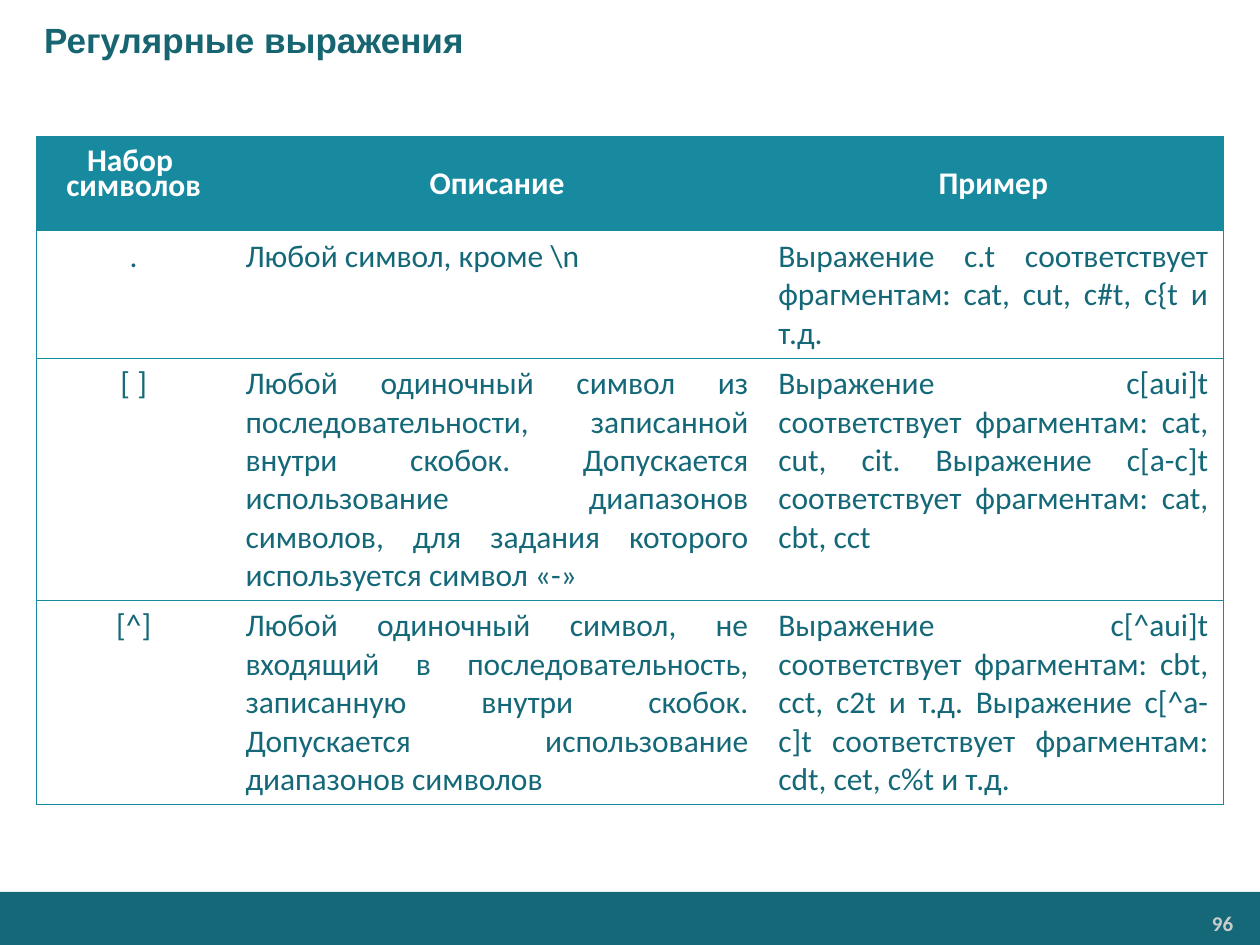
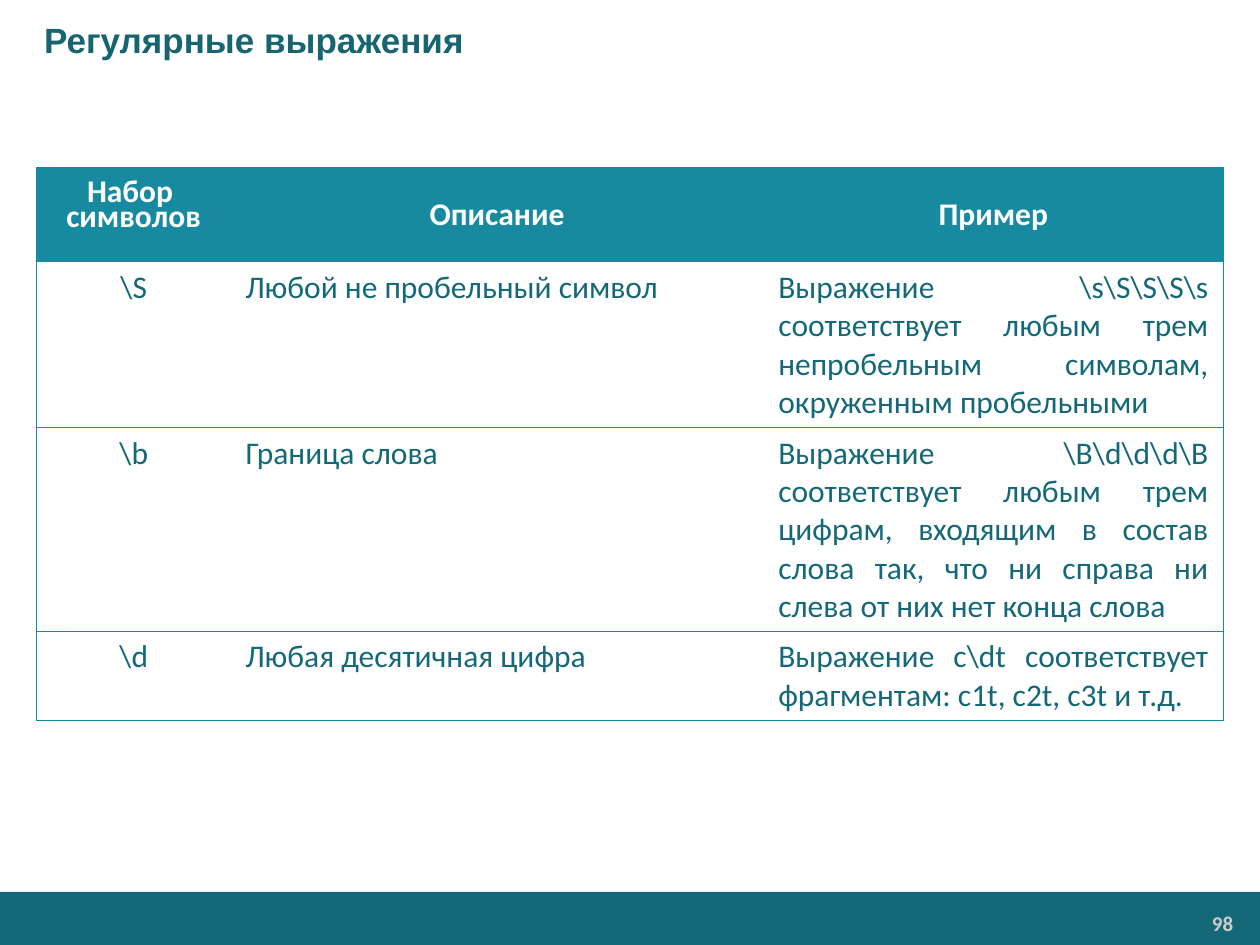
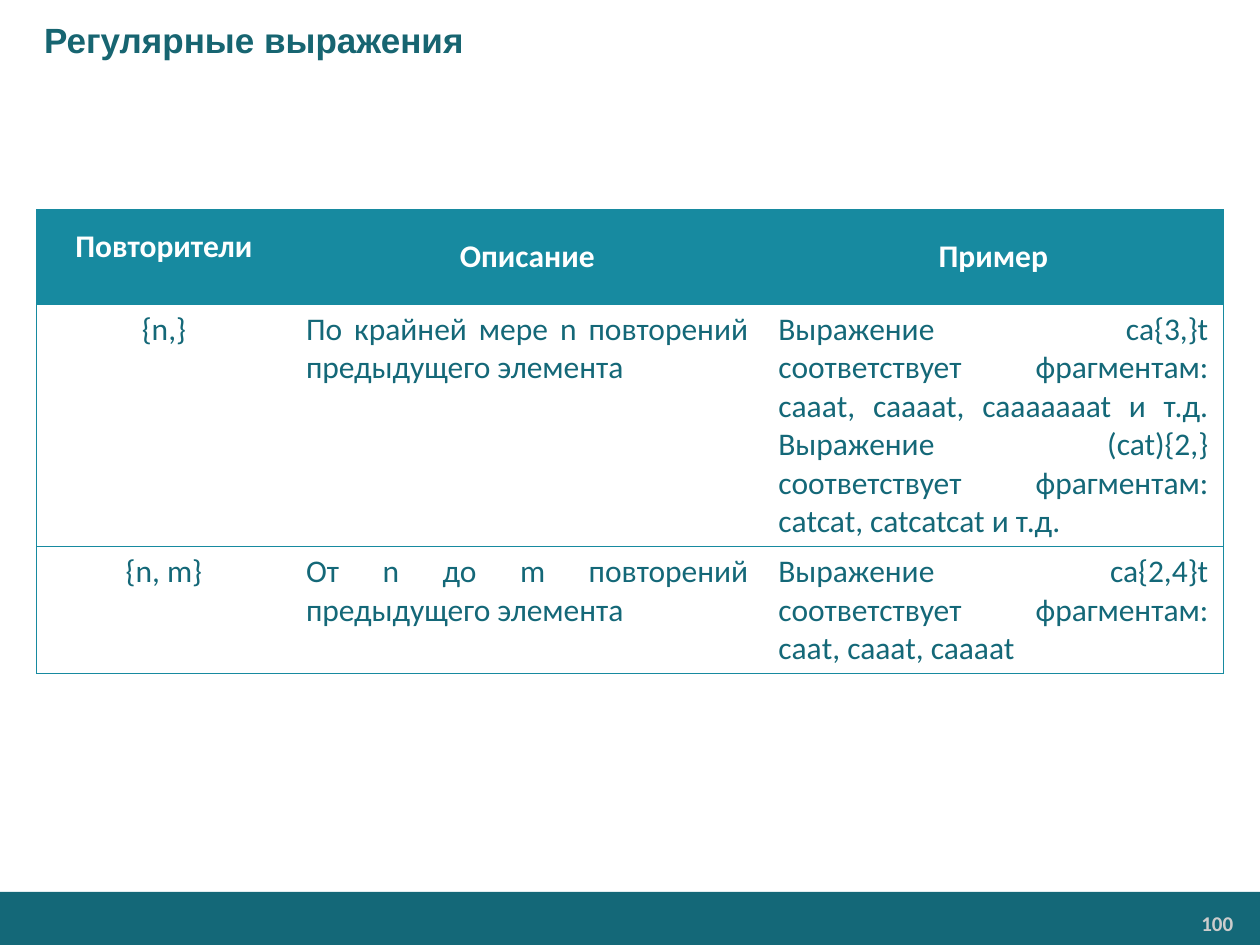
from lxml import etree
from pptx import Presentation
from pptx import util as u
from pptx.dml.color import RGBColor
from pptx.enum import shapes, text
from pptx.oxml import ns

# Content
HEADING = "Регулярные выражения"
SYMBOL_HEADER = ["Набор \nсимволов", "Описание", "Пример"]
REPEAT_HEADER = ["Повторители", "Описание", "Пример"]
SYMBOL_WIDTHS = [3.91, 10.74, 9.27]
REPEAT_WIDTHS = [5.13, 9.52, 9.27]

# Each row: text lines in its tallest cell, then the three cells
SLIDES = [
    {"number": 96, "top": 2.75, "widths": SYMBOL_WIDTHS, "header": SYMBOL_HEADER, "rows": [
        (3, ".", r"Любой символ, кроме \n",
         "Выражение c.t соответствует фрагментам: cat, cut, c#t, c{t и т.д."),
        (6, "[ ]",
         "Любой одиночный символ из последовательности, записанной внутри скобок. "
         "Допускается использование диапазонов символов, для задания которого "
         "используется символ «-»",
         "Выражение c[aui]t соответствует фрагментам: cat, cut, cit. "
         "Выражение c[a-c]t соответствует фрагментам: cat, cbt, cct"),
        (5, "[^]",
         "Любой одиночный символ, не входящий в последовательность, записанную "
         "внутри скобок. Допускается использование диапазонов символов",
         "Выражение c[^aui]t соответствует фрагментам: cbt, cct, c2t и т.д. "
         "Выражение c[^a-c]t соответствует фрагментам: cdt, cet, c%t и т.д."),
    ]},
    {"number": 98, "top": 3.38, "widths": SYMBOL_WIDTHS, "header": SYMBOL_HEADER, "rows": [
        (4, r"\S", "Любой не пробельный символ",
         r"Выражение \s\S\S\S\s соответствует любым трем непробельным символам, "
         "окруженным пробельными"),
        (5, r"\b", "Граница слова",
         r"Выражение \B\d\d\d\B соответствует любым трем цифрам, входящим в состав "
         "слова так, что ни справа ни слева от них нет конца слова"),
        (2, r"\d", "Любая десятичная цифра",
         r"Выражение c\dt соответствует фрагментам: c1t, c2t, c3t и т.д."),
    ]},
    {"number": 100, "top": 4.23, "widths": REPEAT_WIDTHS, "header": REPEAT_HEADER, "rows": [
        (6, "{n,}", "По крайней мере n повторений предыдущего элемента",
         "Выражение ca{3,}t соответствует фрагментам: cаааt, caaaat, caaaaaaat и т.д. "
         "Выражение (cat){2,} соответствует фрагментам: cаtcat, catcatcat и т.д."),
        (3, "{n, m}", "От n до m повторений предыдущего элемента",
         "Выражение ca{2,4}t соответствует фрагментам: cааt, caaat, caaaat"),
    ]},
]

# Shared style
COLORS = {"band": "146878", "title": "176571", "head": "178AA0",
          "body": "146878", "white": "FFFFFF", "number": "CCCCCC"}
TABLE_LEFT, HEADER_HEIGHT = 0.74, 1.9
LINE_HEIGHT, ROW_PADDING = 0.77, 0.26
ALIGN, ANCHOR = text.PP_ALIGN, text.MSO_ANCHOR


def color(key):
    return RGBColor.from_string(COLORS[key])


def style(paragraph, size, key, bold, align, font="Calibri"):
    paragraph.alignment = align
    for run in paragraph.runs:
        run.font.size, run.font.name, run.font.bold = u.Pt(size), font, bold
        run.font.color.rgb = color(key)


def set_margins(box, left, top):
    box.margin_left = box.margin_right = u.Cm(left)
    box.margin_top = box.margin_bottom = u.Cm(top)


def add_label(slide, place, wording):
    frame = slide.shapes.add_textbox(*map(u.Cm, place)).text_frame
    frame.word_wrap = True
    frame.vertical_anchor = ANCHOR.MIDDLE
    frame.text = wording
    return frame


def add_frame(slide, number):
    """Bottom band, page number and heading."""
    band = slide.shapes.add_shape(shapes.MSO_SHAPE.RECTANGLE, 0, u.Cm(17.98),
                                  u.Cm(25.4), u.Cm(1.07))
    band.shadow.inherit = False
    band.fill.solid()
    band.fill.fore_color.rgb = color("band")
    band.line.fill.background()

    page = add_label(slide, (20.9, 18.26, 4.14, 0.71), str(number))
    set_margins(page, 0.18, 0.1)
    style(page.paragraphs[0], 12, "number", True, ALIGN.RIGHT)

    heading = add_label(slide, (0, 0, 25.4, 1.6), HEADING)
    heading.margin_left = u.Cm(0.89)
    style(heading.paragraphs[0], 20, "title", True, ALIGN.LEFT, "Arial")


def set_borders(cell, sides):
    """Draw the named sides and clear the others."""
    properties = cell._tc.get_or_add_tcPr()
    for side in "LRTB":
        line = etree.SubElement(properties, ns.qn("a:ln" + side), w=str(u.Pt(0.75)))
        if side in sides:
            fill = etree.SubElement(line, ns.qn("a:solidFill"))
            etree.SubElement(fill, ns.qn("a:srgbClr"), val=COLORS["head"])
        else:
            etree.SubElement(line, ns.qn("a:noFill"))


def fill_cell(cell, wording, is_header, column):
    cell.text = wording
    set_margins(cell, 0.3, 0.13)
    set_borders(cell, "TB" + {0: "L", 2: "R"}.get(column, ""))
    if is_header:
        cell.fill.solid()
        cell.fill.fore_color.rgb = color("head")
        cell.vertical_anchor = ANCHOR.MIDDLE
    else:
        cell.fill.background()
    centred = is_header or column == 0
    for paragraph in cell.text_frame.paragraphs:
        style(paragraph, 18, "white" if is_header else "body", is_header,
              ALIGN.CENTER if centred else ALIGN.JUSTIFY)


def tighten_first_header(cell):
    set_margins(cell, 0.23, 0)
    for index, paragraph in enumerate(cell.text_frame.paragraphs):
        paragraph.line_spacing = u.Pt(10)
        paragraph.space_before = u.Pt(2 if index else 0)
        paragraph.space_after = u.Pt(2)


def add_reference(slide, top, widths, header, rows):
    heights = [HEADER_HEIGHT] + [ROW_PADDING + LINE_HEIGHT * row[0] for row in rows]
    table = slide.shapes.add_table(len(heights), len(widths), u.Cm(TABLE_LEFT), u.Cm(top),
                                   u.Cm(sum(widths)), u.Cm(sum(heights))).table
    table.horz_banding = False
    for column, width in zip(table.columns, widths):
        column.width = u.Cm(width)
    for row, height in zip(table.rows, heights):
        row.height = u.Cm(height)
    for r, wordings in enumerate([header] + [row[1:] for row in rows]):
        for c, wording in enumerate(wordings):
            fill_cell(table.cell(r, c), wording, r == 0, c)
    tighten_first_header(table.cell(0, 0))


def main():
    deck = Presentation()
    deck.slide_width, deck.slide_height = u.Cm(25.4), u.Cm(19.05)
    for content in SLIDES:
        slide = deck.slides.add_slide(deck.slide_layouts[6])
        add_frame(slide, content["number"])
        add_reference(slide, content["top"], content["widths"],
                      content["header"], content["rows"])
    deck.save("out.pptx")


if __name__ == "__main__":
    main()
